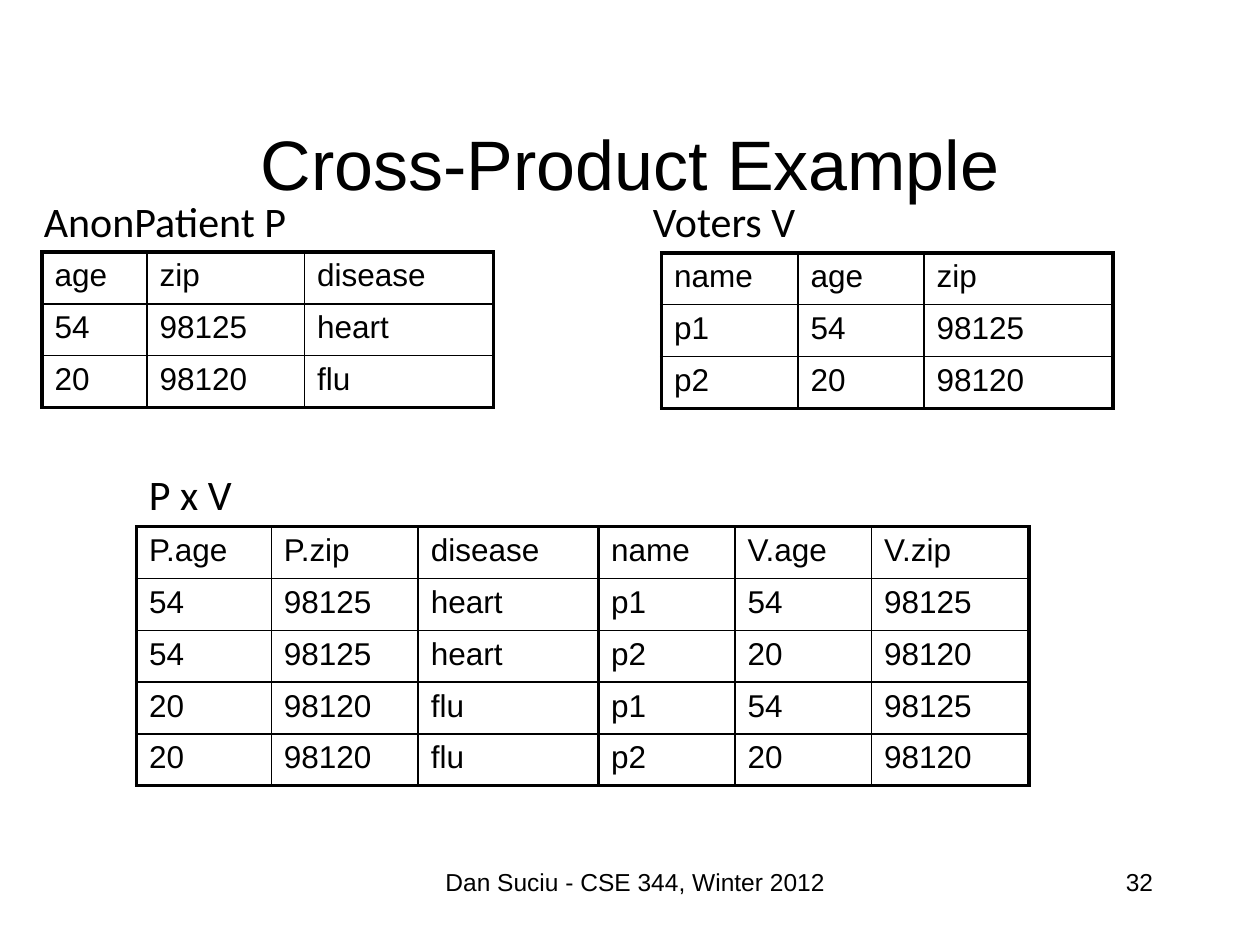
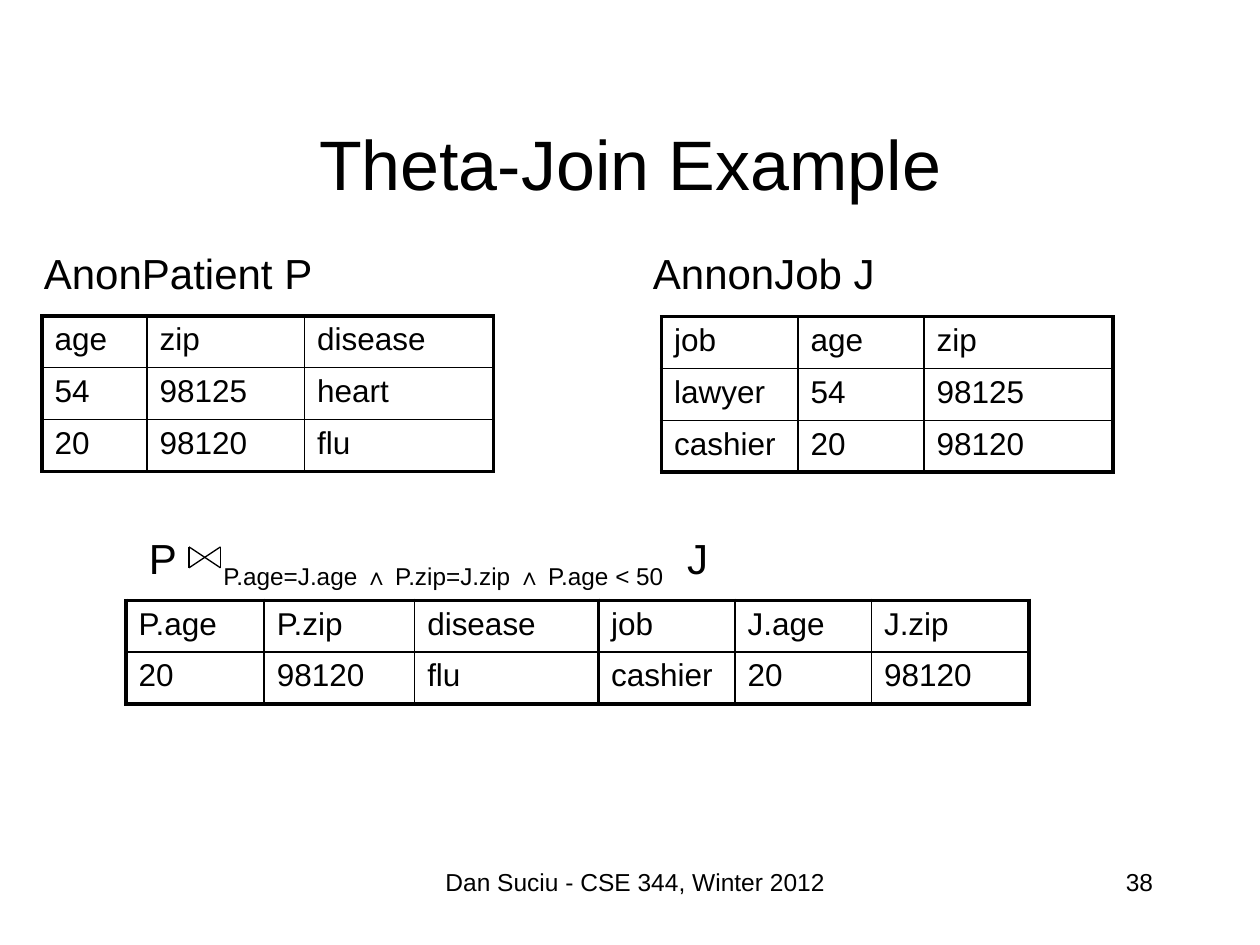
from dataclasses import dataclass
from itertools import accumulate

from lxml.etree import SubElement
from pptx import Presentation
from pptx.dml.color import RGBColor
from pptx.enum.shapes import MSO_CONNECTOR as Line
from pptx.enum.text import MSO_ANCHOR as Anchor, MSO_AUTO_SIZE as Fit, PP_ALIGN as Align
from pptx.oxml.ns import qn
from pptx.util import Pt


@dataclass(frozen=True)
class Theme:
    ink: str = "000000"
    paper: str = "FFFFFF"
    sans: str = "Arial"
    soft: str = "Calibri"
    title: float = 40
    label: float = 24
    cell: float = 18
    foot: float = 14
    row: float = 29.6
    thick: float = 2.25
    thin: float = 1
    hair: float = 0.75


class Deck:
    def __init__(self, theme):
        self.theme = theme
        self.show = Presentation()
        self.show.slide_width, self.show.slide_height = Pt(720), Pt(540)

    def start(self, title, page):
        self.slide = self.show.slides.add_slide(self.show.slide_layouts[6])
        back = self.slide.background.fill
        back.solid()
        back.fore_color.rgb = RGBColor.from_string(self.theme.paper)
        box = self.text((54, 48, 612, 90), [title], self.theme.title, align=Align.CENTER)
        box.text_frame.vertical_anchor = Anchor.MIDDLE
        self.text((228, 492, 270, 36), ["Dan Suciu - CSE 344, Winter 2012"],
                  self.theme.foot, align=Align.CENTER)
        self.text((516, 492, 150, 36), [page], self.theme.foot, align=Align.RIGHT)

    def run(self, para, words, size, font=None):
        run = para.add_run()
        run.text = words
        run.font.name = font or self.theme.sans
        run.font.size = Pt(size)
        run.font.color.rgb = RGBColor.from_string(self.theme.ink)
        return run

    def text(self, area, runs, size, font=None, align=Align.LEFT, wrap=True):
        box = self.slide.shapes.add_textbox(*map(Pt, area))
        frame = box.text_frame
        frame.word_wrap = wrap
        para = frame.paragraphs[0]
        para.alignment = align
        for words in runs:
            self.run(para, words, size, font)
        return box

    def label(self, left, top, width, words, font=None):
        box = self.text((left, top, width, 36), [words], self.theme.label, font, wrap=False)
        box.text_frame.auto_size = Fit.SHAPE_TO_FIT_TEXT

    def query(self, left, top, width, parts, stops):
        box = self.text((left, top, width, 36), parts, self.theme.label)
        para = box.text_frame.paragraphs[0]
        tabs = SubElement(para._p.get_or_add_pPr(), qn("a:tabLst"))
        for stop in stops:
            SubElement(tabs, qn("a:tab"), pos=str(Pt(stop)), algn="l")
        para.runs[1].font._element.set("baseline", "-25000")

    def edge(self, cell, side, width):
        props = cell._tc.get_or_add_tcPr()
        line = SubElement(props, qn("a:ln" + side), w=str(Pt(width)))
        fill = SubElement(line, qn("a:solidFill"))
        SubElement(fill, qn("a:srgbClr"), val=self.theme.ink)

    def table(self, left, top, widths, rows):
        theme = self.theme
        high, wide = len(rows), len(widths)
        area = (left, top, sum(widths), theme.row * high)
        grid = self.slide.shapes.add_table(high, wide, *map(Pt, area)).table
        grid.first_row = grid.horz_banding = False
        for col, width in zip(grid.columns, widths):
            col.width = Pt(width)
        for r, row in enumerate(rows):
            grid.rows[r].height = Pt(theme.row)
            for c, words in enumerate(row):
                cell = grid.cell(r, c)
                outer = {"L": c == 0, "R": c == wide - 1, "T": r == 0, "B": r == high - 1}
                for side, rim in outer.items():
                    self.edge(cell, side, theme.thick if rim else theme.thin)
                cell.fill.background()
                self.run(cell.text_frame.paragraphs[0], words, theme.cell)

    def bowtie(self, left, top, width, height):
        right, base = left + width, top + height
        group = self.slide.shapes.add_group_shape()
        ends = [(left, top, left, base), (right, top, right, base),
                (left, top, right, base), (right, top, left, base)]
        for points in ends:
            line = group.shapes.add_connector(Line.STRAIGHT, *map(Pt, points))
            line.line.width = Pt(self.theme.hair)
            line.line.color.rgb = RGBColor.from_string(self.theme.ink)
            SubElement(line._element.spPr, qn("a:effectLst"))

    def pair(self, top, widths, left, right):
        starts = accumulate(map(sum, widths[:1]), initial=342 - sum(widths[0]))
        for start, cols, rows in zip(starts, widths, (left, right)):
            self.table(start, top, cols, rows)


def main():
    theme = Theme()
    deck = Deck(theme)
    ills = [("54", "98125", "heart"), ("20", "98120", "flu")]
    votes = [("p1", "54", "98125"), ("p2", "20", "98120")]
    jobs = [("lawyer", "54", "98125"), ("cashier", "20", "98120")]
    sick = [("age", "zip", "disease")] + ills
    left, right = (60, 90, 108), (78, 72, 108)
    joined = (78, 78, 90)
    head = ("P.age", "P.zip", "disease")

    deck.start("Cross-Product Example", "32")
    deck.label(18, 108, 155, "AnonPatient P", theme.soft)
    deck.label(366, 108, 97, "Voters V", theme.soft)
    deck.label(78, 264, 63, "P x V", theme.soft)
    deck.table(24, 144, left, sick)
    deck.table(378, 144.5, right, [("name", "age", "zip")] + votes)
    deck.pair(301, [(77, 84, 103), joined],
              [head] + [ill for ill in ills for _ in votes],
              [("name", "V.age", "V.zip")] + votes * len(ills))

    deck.start("Theta-Join Example", "38")
    deck.label(18, 138, 170, "AnonPatient P")
    deck.label(366, 138, 143, "AnnonJob J")
    deck.table(24, 180.5, left, sick)
    deck.table(378, 181, right, [("job", "age", "zip")] + jobs)
    deck.query(78, 301, 375,
               ["P\t", "P.age=J.age ∧ P.zip=J.zip ∧ P.age < 50", "\tJ"], (42.5, 307.5))
    deck.bowtie(108, 312.5, 18, 12)
    deck.pair(343, [(79, 86, 105), joined],
              [head, ills[1]], [("job", "J.age", "J.zip"), jobs[1]])

    deck.show.save("out.pptx")


if __name__ == "__main__":
    main()
